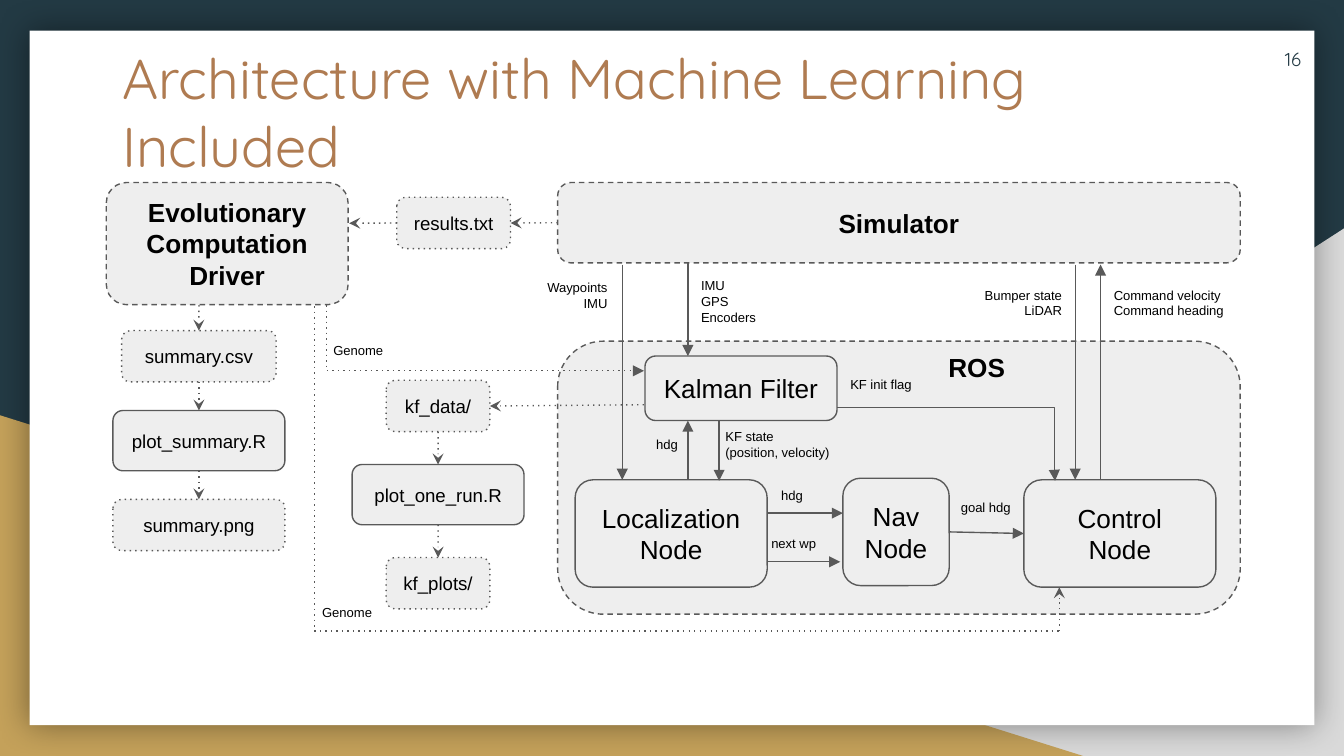
"""Build the architecture slide with its nodes, data files and message flows."""
from lxml import etree
from pptx import Presentation
from pptx import util as u
from pptx.dml.color import RGBColor
from pptx.enum import shapes, text
from pptx.oxml.ns import qn

COLORS = {"navy": "233A44", "gold": "C4A15A", "gray": "D9D9D9", "white": "FFFFFF",
          "brown": "AF7B51", "node": "EEEEEE", "stroke": "595959", "ink": "000000"}
SHAPE = shapes.MSO_SHAPE
LEFT, CENTER, RIGHT = text.PP_ALIGN.LEFT, text.PP_ALIGN.CENTER, text.PP_ALIGN.RIGHT
TOP_SIDE, LEFT_SIDE, BOTTOM_SIDE, RIGHT_SIDE = range(4)


def color(name):
    return RGBColor.from_string(COLORS[name])


def lengths(*values):
    return [u.Cm(value) for value in values]


def add_child(parent, tag, **attributes):
    return etree.SubElement(parent, qn(tag), attributes)


def style_line(line, dash):
    line.color.rgb = color("stroke")
    line.width = u.Pt(0.75)
    if dash:
        add_child(line._get_or_add_ln(), "a:prstDash", val=dash)


def write(shape, lines, size, align, bold=False, font="Arial", ink="ink",
          anchor=text.MSO_ANCHOR.MIDDLE):
    frame = shape.text_frame
    frame.word_wrap = True
    frame.vertical_anchor = anchor
    frame.margin_left = frame.margin_right = u.Cm(0.25)
    frame.margin_top = frame.margin_bottom = u.Cm(0.25)
    for index, line in enumerate(lines):
        para = frame.add_paragraph() if index else frame.paragraphs[0]
        para.alignment = align
        span = para.add_run()
        span.text = line
        span.font.name = font
        span.font.size = u.Pt(size)
        span.font.bold = bold
        span.font.color.rgb = color(ink)


def add_panel(page, kind, fill, *place):
    panel = page.shapes.add_shape(kind, *lengths(*place))
    panel.shadow.inherit = False
    panel.fill.solid()
    panel.fill.fore_color.rgb = color(fill)
    panel.line.fill.background()
    return panel


def add_node(page, lines, place, size=14, bold=False, dash=None):
    node = add_panel(page, SHAPE.ROUNDED_RECTANGLE, "node", *place)
    style_line(node.line, dash)
    write(node, lines, size, CENTER, bold)
    return node


def add_label(page, lines, place, align=LEFT, size=7, **style):
    box = page.shapes.add_textbox(*lengths(*place))
    style.setdefault("anchor", text.MSO_ANCHOR.TOP)
    write(box, lines, size, align, **style)
    return box


def add_arrow(page, start, end, dash=None, head="triangle", bend=None):
    """Draw a flow; each end is a (x, y) point or a (node, side) pair."""
    kind = shapes.MSO_CONNECTOR.STRAIGHT if bend is None else shapes.MSO_CONNECTOR.ELBOW
    points = [(0, 0) if hasattr(end_of, "shape_id") else (end_of, other)
              for end_of, other in (start, end)]
    arrow = page.shapes.add_connector(kind, *lengths(*points[0], *points[1]))
    if hasattr(start[0], "shape_id"):
        arrow.begin_connect(*start)
    if hasattr(end[0], "shape_id"):
        arrow.end_connect(*end)
    style_line(arrow.line, dash)
    if head:
        add_child(arrow.line._get_or_add_ln(), "a:tailEnd", type=head)
    properties = arrow._element.spPr
    add_child(properties, "a:effectLst")
    if bend is not None:
        guides = properties.find(qn("a:prstGeom")).find(qn("a:avLst"))
        add_child(guides, "a:gd", name="adj1", fmla=f"val {bend}")
    return arrow


def add_chain(page, center, top, gap, steps):
    """Stack file and script nodes on one axis, joined by dotted arrows."""
    chain = []
    for name, width, height, dash in steps:
        node = add_node(page, [name], (center - width / 2, top, width, height), 10, dash=dash)
        if chain:
            add_arrow(page, (chain[-1], BOTTOM_SIDE), (node, TOP_SIDE), "dot", "stealth")
        chain.append(node)
        top += height + gap
    return chain


def add_backdrop(page):
    page.background.fill.solid()
    page.background.fill.fore_color.rgb = color("navy")
    corner = add_panel(page, SHAPE.RIGHT_TRIANGLE, "gray", 9.96, 4.32, 15.44, 9.97)
    corner._element.spPr.find(qn("a:xfrm")).set("flipH", "1")
    add_panel(page, SHAPE.RIGHT_TRIANGLE, "gold", 0, 7.85, 20.47, 6.44)
    sheet = add_panel(page, SHAPE.RECTANGLE, "white", 0.56, 0.58, 24.28, 13.13)
    effects = sheet._element.spPr.find(qn("a:effectLst"))
    shadow = add_child(effects, "a:outerShdw", blurRad=str(u.Pt(18)), dist="0",
                       algn="ctr", rotWithShape="0")
    tint = add_child(shadow, "a:srgbClr", val=COLORS["ink"])
    add_child(tint, "a:alpha", val="40000")


def add_flows(page, simulator, results, kf_data, summary, nav, control):
    add_arrow(page, (nav, RIGHT_SIDE), (control, LEFT_SIDE))
    for start, end in [((11.76, 5), (11.76, 9.07)), ((13, 4.98), (13, 6.73)),
                       ((20.32, 5), (20.32, 9.07)), ((20.8, 9.07), (20.8, 5)),
                       ((13, 9.07), (13, 7.95)), ((13.59, 7.95), (13.59, 9.09)),
                       ((14.5, 9.7), (15.93, 9.7)), ((14.5, 10.62), (15.88, 10.62))]:
        add_arrow(page, start, end)
    add_arrow(page, (15.82, 7.7), (19.94, 9.09), bend=99700)
    add_arrow(page, (6.17, 5.77), (12.17, 7.01), "dot", bend=0)
    for start, end in [((simulator, LEFT_SIDE), (results, RIGHT_SIDE)),
                       ((results, LEFT_SIDE), (6.6, 4.22)),
                       ((12.17, 7.65), (kf_data, RIGHT_SIDE)),
                       ((3.76, 5.77), (summary, TOP_SIDE)),
                       ((20.02, 11.93), (20.02, 11.1))]:
        add_arrow(page, start, end, "dot", "stealth")
    add_arrow(page, (5.94, 5.79), (5.94, 11.93), "dot", None)
    add_arrow(page, (5.94, 11.93), (20.02, 11.93), "dot", None)


def add_flow_labels(page):
    for lines, place, align in [
            (["Waypoints", "IMU"], (10.03, 5.03, 1.7, 1.12), RIGHT),
            (["IMU", "GPS", "Encoders"], (13, 5, 2.77, 1.42), LEFT),
            (["Bumper state", "LiDAR"], (18.19, 5.18, 2.13, 1.12), RIGHT),
            (["Command velocity", "Command heading"], (20.8, 5.18, 2.64, 1.12), LEFT),
            (["hdg"], (12.04, 8.1, 1.02, 0.81), RIGHT),
            (["KF state", "(position, velocity)"], (13.46, 7.85, 2.64, 1.12), LEFT),
            (["KF init flag"], (15.82, 6.96, 1.75, 0.81), LEFT),
            (["hdg"], (14.41, 9.07, 1.12, 0.81), CENTER),
            (["next wp"], (14.28, 9.98, 1.44, 0.81), CENTER),
            (["goal hdg"], (17.83, 9.3, 1.6, 0.81), CENTER),
            (["Genome"], (6.05, 6.32, 1.6, 0.81), LEFT),
            (["Genome"], (5.84, 11.28, 1.6, 0.81), LEFT)]:
        add_label(page, lines, place, align)


def main():
    deck = Presentation()
    deck.slide_width, deck.slide_height = lengths(25.4, 14.29)
    page = deck.slides.add_slide(deck.slide_layouts[6])
    add_backdrop(page)
    add_label(page, ["Architecture with Machine Learning Included"], (2.06, 0.58, 21.5, 1.7),
              size=30, font="Quicksand", ink="brown")
    add_label(page, ["16"], (23.32, 0.58, 1.52, 1.09), RIGHT, 10, font="Quicksand",
              ink="navy", anchor=text.MSO_ANCHOR.MIDDLE)

    ros = add_panel(page, SHAPE.ROUNDED_RECTANGLE, "node", 10.54, 6.45, 12.9, 5.16)
    style_line(ros.line, "dash")
    add_label(page, ["ROS"], (17.48, 6.4, 1.96, 1.12), CENTER, 14, bold=True)
    simulator = add_node(page, ["Simulator"], (10.54, 3.45, 12.9, 1.52), bold=True, dash="dash")
    add_node(page, ["Evolutionary Computation", "Driver"], (2.01, 3.45, 4.57, 2.31),
             bold=True, dash="dash")
    add_node(page, ["Kalman Filter"], (12.19, 6.73, 3.63, 1.22))
    add_node(page, ["Localization", "Node"], (10.87, 9.07, 3.63, 2.03))
    nav = add_node(page, ["Nav", "Node"], (15.93, 9.04, 2.01, 2.03))
    control = add_node(page, ["Control", "Node"], (19.35, 9.07, 3.63, 2.03))
    results = add_node(page, ["results.txt"], (7.5, 3.73, 2.15, 0.97), 10, dash="dot")
    summary = add_chain(page, 3.76, 6.25, 0.54, [
        ("summary.csv", 2.92, 0.97, "dot"), ("plot_summary.R", 3.25, 1.14, None),
        ("summary.png", 3.25, 0.97, "dot")])
    kf_files = add_chain(page, 8.28, 7.19, 0.62, [
        ("kf_data/", 1.96, 0.97, "dot"), ("plot_one_run.R", 3.25, 1.14, None),
        ("kf_plots/", 1.96, 0.97, "dot")])
    add_flows(page, simulator, results, kf_files[0], summary[0], nav, control)
    add_flow_labels(page)
    deck.save("out.pptx")


if __name__ == "__main__":
    main()
